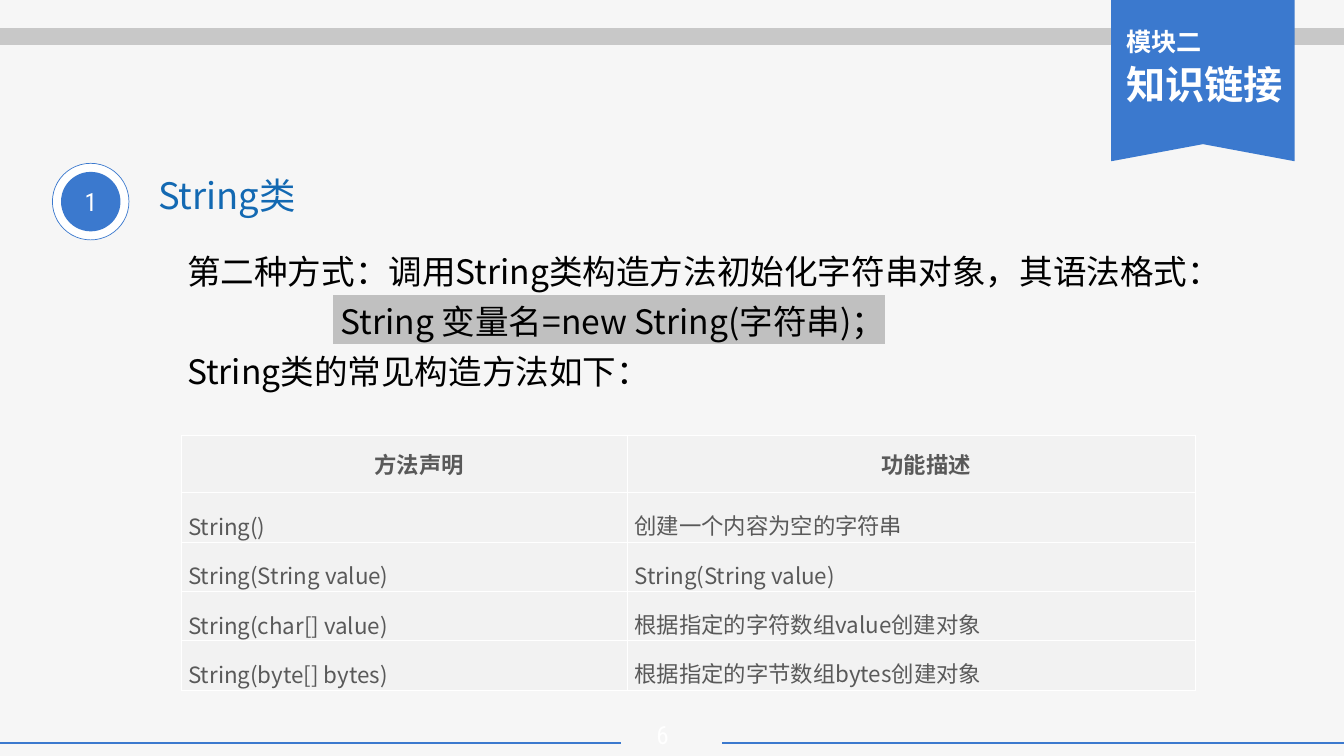
from lxml import etree
from pptx import Presentation
from pptx.dml.color import RGBColor
from pptx.enum.shapes import MSO_CONNECTOR, MSO_SHAPE
from pptx.enum.text import MSO_ANCHOR, PP_ALIGN
from pptx.oxml.ns import qn
from pptx.util import Inches, Pt

STRAIGHT, ELLIPSE = MSO_CONNECTOR.STRAIGHT, MSO_SHAPE.OVAL
TOP, MIDDLE = MSO_ANCHOR.TOP, MSO_ANCHOR.MIDDLE
LEFT, CENTER = PP_ALIGN.LEFT, PP_ALIGN.CENTER
WIDTH, HEIGHT = Inches(13.34), Inches(7.5)
CJK, CONDENSED = "Noto Sans CJK SC", "Roboto Condensed"
COLORS = {
    "page": "F6F6F6", "blue": "3B79CE", "title": "1369B2", "gray": "C8C8C8",
    "cell": "F2F2F2", "cell_text": "595959", "code": "C0C0C0",
    "white": "FFFFFF", "black": "000000",
}
METHODS = [
    ("方法声明", "功能描述"),
    ("String()", "创建一个内容为空的字符串"),
    ("String(String value)", "String(String value)"),
    ("String(char[] value)", "根据指定的字符数组value创建对象"),
    ("String(byte[] bytes)", "根据指定的字节数组bytes创建对象"),
]


def across(percent):
    """Share of the slide's width."""
    return round(WIDTH * percent / 100)


def down(percent):
    """Share of the slide's height."""
    return round(HEIGHT * percent / 100)


def area(left, top, width, height):
    return across(left), down(top), across(width), down(height)


def rgb(name):
    return RGBColor.from_string(COLORS[name])


def paint(shape, fill, line=None):
    shape.shadow.inherit = False
    shape.fill.solid()
    shape.fill.fore_color.rgb = rgb(fill)
    if line:
        shape.line.color.rgb = rgb(line)
        shape.line.width = Pt(0.5)
    else:
        shape.line.fill.background()


def write(para, text, size=24, color="black", font=CJK, bold=False, align=LEFT,
          spacing=None, before=0, after=0, indent=0, highlight=None):
    para.alignment = align
    para.space_before, para.space_after = Pt(before), Pt(after)
    if spacing:
        para.line_spacing = spacing
    if indent:
        props = para._p.get_or_add_pPr()
        props.set("marL", "0")
        props.set("indent", str(across(indent)))
    span = para.add_run()
    span.text = text
    span.font.size, span.font.bold, span.font.name = Pt(size), bold, font
    span.font.color.rgb = rgb(color)
    latin = span.font._element.find(qn("a:latin"))
    east = etree.Element(qn("a:ea"), typeface=font)
    latin.addprevious(east)
    latin.addnext(east)
    if highlight:
        mark = etree.Element(qn("a:highlight"))
        etree.SubElement(mark, qn("a:srgbClr"), val=COLORS[highlight])
        latin.addprevious(mark)


def add_text(page, place, lines, **common):
    """Text box with one paragraph for each (text, format) pair."""
    box = page.shapes.add_textbox(*area(*place))
    frame = box.text_frame
    frame.word_wrap = True
    for number, (text, style) in enumerate(lines):
        para = frame.add_paragraph() if number else frame.paragraphs[0]
        write(para, text, **{**common, **style})


def add_rule(page, start, end, level, color, weight):
    line = page.shapes.add_connector(
        STRAIGHT, across(start), down(level), across(end), down(level))
    line.line.color.rgb = rgb(color)
    line.line.width = Pt(weight)
    etree.SubElement(line._element.spPr, qn("a:effectLst"))


def add_ribbon(page):
    left, middle, right = 82.68, 89.51, 96.33
    tail, notch = 21.33, 19.07
    corners = [(right, 0), (right, tail), (middle, notch), (left, tail)]
    builder = page.shapes.build_freeform(across(left), 0)
    builder.add_line_segments([(across(x), down(y)) for x, y in corners])
    paint(builder.convert_to_shape(), "blue")


def add_disc(page, diameter, fill, line=None):
    """Circle around the centre of the section badge."""
    size = down(diameter)
    disc = page.shapes.add_shape(
        ELLIPSE, across(6.75) - size // 2, down(26.67) - size // 2, size, size)
    paint(disc, fill, line)
    return disc


def add_title(page, text):
    title = page.shapes.title
    title.left, title.top, title.width, title.height = area(11.02, 22.67, 26.46, 6.27)
    title.text_frame.vertical_anchor = MIDDLE
    write(title.text_frame.paragraphs[0], text, size=26, color="title")


def add_cell_borders(cell):
    props = cell._tc.get_or_add_tcPr()
    for position, side in enumerate(("lnL", "lnR", "lnT", "lnB")):
        border = etree.Element(qn("a:" + side), w=str(Pt(1)))
        fill = etree.SubElement(border, qn("a:solidFill"))
        etree.SubElement(fill, qn("a:srgbClr"), val=COLORS["white"])
        props.insert(position, border)


def add_methods_table(page):
    widths, heights = [33.21, 42.28], [7.6] + [6.53] * 4
    table = page.shapes.add_table(
        len(heights), len(widths),
        *area(13.49, 57.6, sum(widths), sum(heights))).table
    for column, width in zip(table.columns, widths):
        column.width = across(width)
    for row, height in zip(table.rows, heights):
        row.height = down(height)
    for r, texts in enumerate(METHODS):
        for c, text in enumerate(texts):
            cell = table.cell(r, c)
            cell.fill.solid()
            cell.fill.fore_color.rgb = rgb("cell")
            cell.margin_left = cell.margin_right = across(0.52)
            cell.margin_top = cell.margin_bottom = 0
            cell.vertical_anchor = TOP if r and c else MIDDLE
            style = ({"spacing": 1.5} if r else
                     {"bold": True, "align": CENTER, "indent": 2.17})
            write(cell.text_frame.paragraphs[0], text, size=16,
                  color="cell_text", **style)
            add_cell_borders(cell)


def main():
    deck = Presentation()
    deck.slide_width, deck.slide_height = WIDTH, HEIGHT
    page = deck.slides.add_slide(deck.slide_layouts[5])
    page.background.fill.solid()
    page.background.fill.fore_color.rgb = rgb("page")

    # Frame lines and page number
    add_rule(page, 53.75, 100, 98.27, "blue", 1.77)
    add_rule(page, 0, 46.18, 98.27, "blue", 1.77)
    add_rule(page, 0, 100, 4.8, "gray", 12)
    add_text(page, (46.3, 94.5, 6, 5.5), [("6", {})],
             size=18, color="white", font=CONDENSED, align=CENTER)

    # Module ribbon
    add_ribbon(page)
    add_text(page, (83.06, 2.8, 13.34, 12.27),
             [("模块二", {"size": 18}), ("知识链接", {"size": 28})],
             color="white", bold=True, after=3)

    # Section heading with its numbered badge
    add_title(page, "String类")
    add_disc(page, 10.13, "white", "blue")
    badge = add_disc(page, 7.87, "blue")
    badge.text_frame.vertical_anchor = MIDDLE
    write(badge.text_frame.paragraphs[0], "1", size=18, color="white",
          font=CONDENSED, align=CENTER)

    # Explanation and syntax
    add_text(page, (11.02, 31.2, 84.33, 25), [
        ("第二种方式：调用String类构造方法初始化字符串对象，其语法格式：", {}),
        (" String 变量名=new String(字符串)；", {"indent": 13.04, "highlight": "code"}),
        ("String类的常见构造方法如下：", {}),
    ], spacing=1.24, indent=2.17)

    # Constructors
    add_methods_table(page)
    deck.save("out.pptx")


if __name__ == "__main__":
    main()
